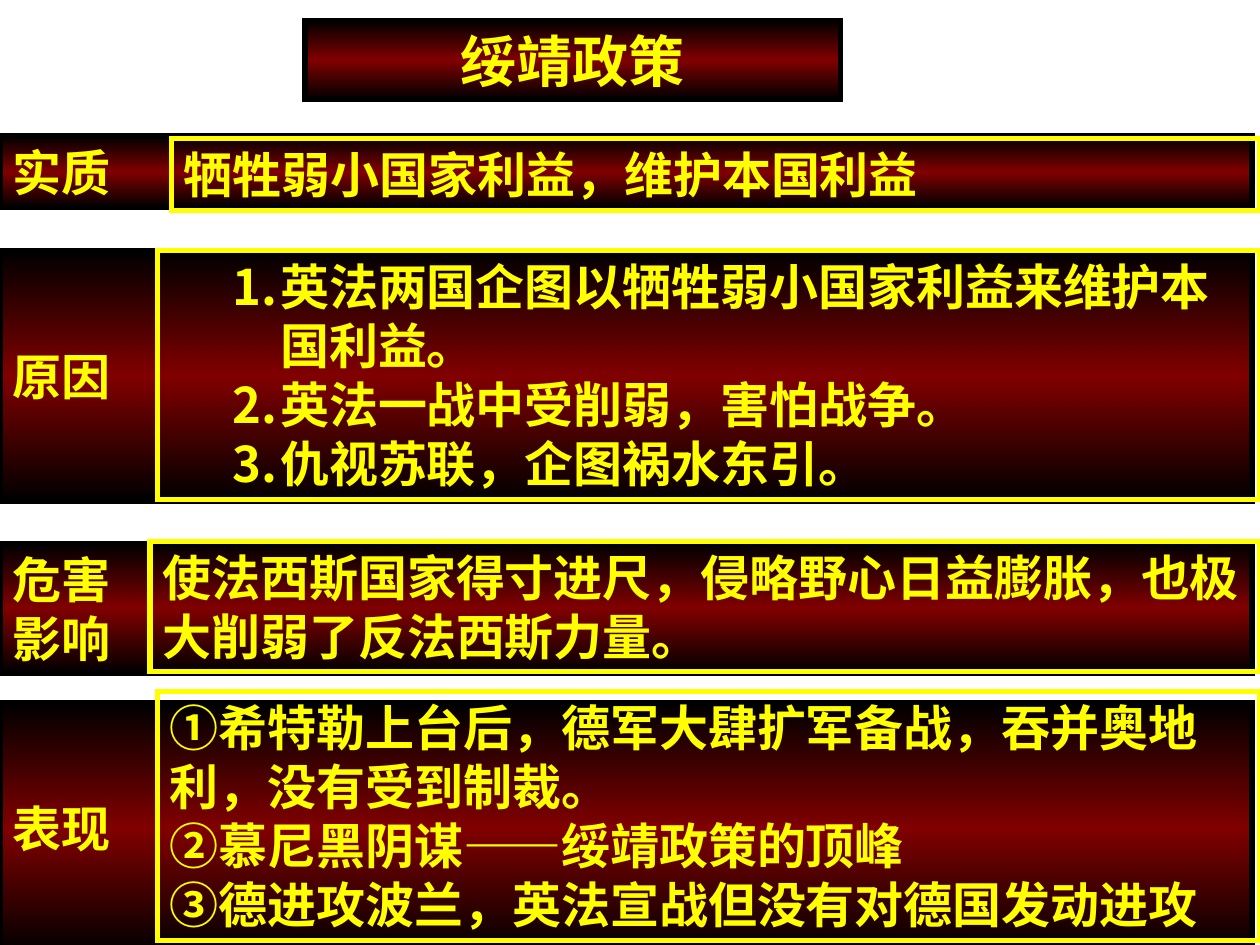
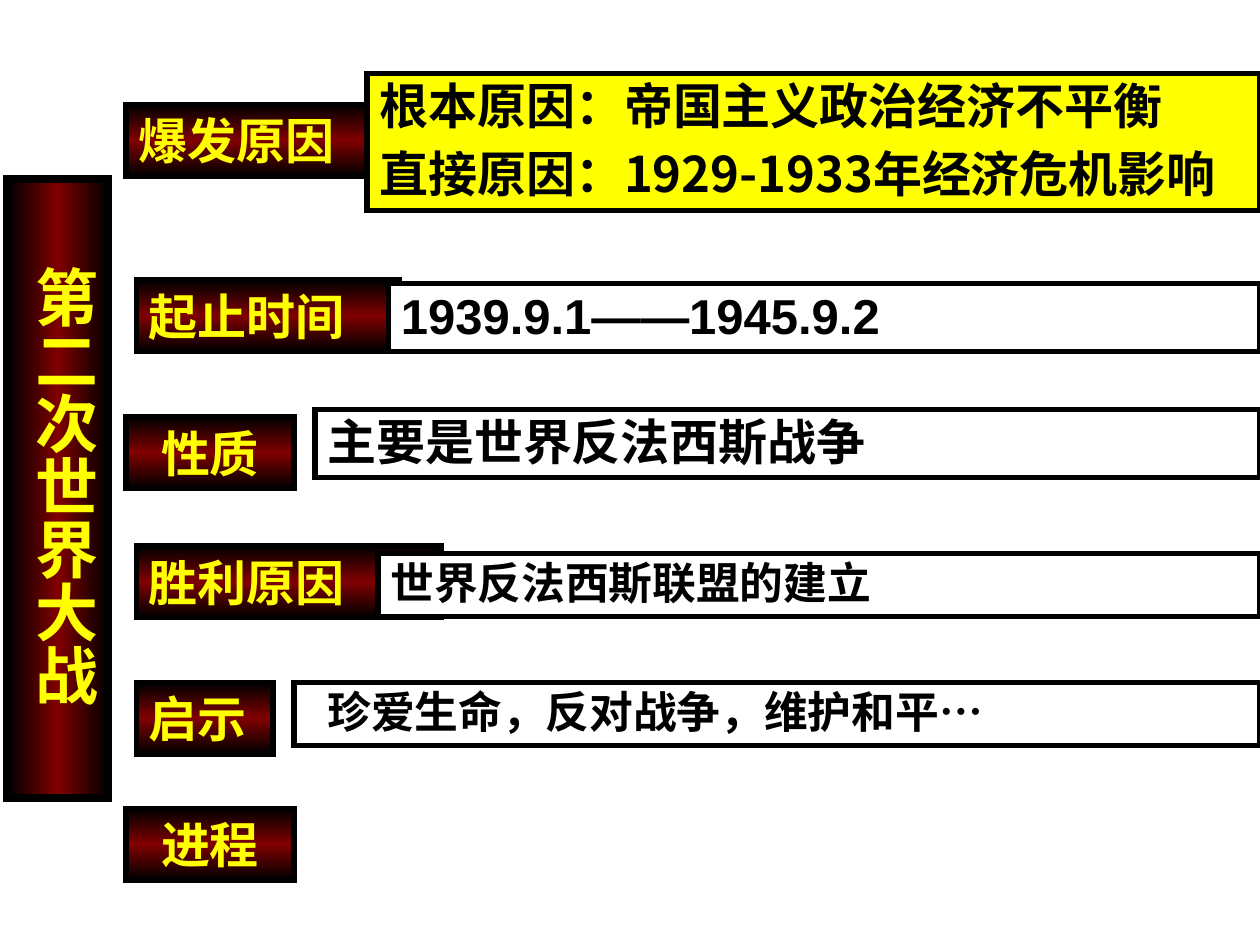
from copy import deepcopy

from lxml.etree import SubElement
from pptx import Presentation
from pptx.dml.color import RGBColor
from pptx.enum.shapes import MSO_SHAPE
from pptx.enum.text import MSO_ANCHOR, MSO_AUTO_SIZE, PP_ALIGN
from pptx.oxml.ns import qn
from pptx.util import Pt

BLACK = RGBColor(0x00, 0x00, 0x00)
MAROON = RGBColor(0x80, 0x00, 0x00)
YELLOW = RGBColor(0xFF, 0xFF, 0x00)
WHITE = RGBColor(0xFF, 0xFF, 0xFF)
LATIN_FONT = "Arial"
CHINESE_FONT = "Noto Sans CJK SC"
SLIDE_WIDTH, SLIDE_HEIGHT = 720, 540
TITLE_ONLY = 5
LABEL_HEIGHT = 41


# Shared formatting
def fill_glow(shape, angle=90):
    """Black edges with a maroon glow along the middle."""
    shape.fill.gradient()
    shape.fill.gradient_angle = angle
    stop_list = shape._element.spPr.find(qn("a:gradFill")).find(qn("a:gsLst"))
    stop_list.append(deepcopy(stop_list[0]))
    glow = ((0, BLACK), (0.5, MAROON), (1, BLACK))
    for stop, (position, color) in zip(shape.fill.gradient_stops, glow):
        stop.position = position
        stop.color.rgb = color


def outline(shape, color, width=3):
    shape.line.color.rgb = color
    shape.line.width = Pt(width)
    SubElement(shape.line._get_or_add_ln(), qn("a:miter"), lim="800000")


def place(shape, box):
    shape.left, shape.top, shape.width, shape.height = map(Pt, box)


def write(shape, lines, color, size=28, font=LATIN_FONT, align=PP_ALIGN.LEFT,
          anchor=MSO_ANCHOR.TOP, line_spacing=1.0, space_before=0):
    frame = shape.text_frame
    frame.word_wrap = True
    frame.auto_size = MSO_AUTO_SIZE.NONE
    frame.vertical_anchor = anchor
    frame.margin_left = frame.margin_right = Pt(7.2)
    frame.margin_top = frame.margin_bottom = Pt(3.6)
    for index, line in enumerate(lines):
        paragraph = frame.add_paragraph() if index else frame.paragraphs[0]
        paragraph.alignment = align
        paragraph.line_spacing = line_spacing
        paragraph.space_before = Pt(space_before)
        # Keep punctuation inside the box
        paragraph._p.get_or_add_pPr().set("hangingPunct", "0")
        run = paragraph.add_run()
        run.text = line
        run.font.size = Pt(size)
        run.font.bold = True
        run.font.name = font
        run.font.color.rgb = color
        SubElement(run._r.get_or_add_rPr(), qn("a:ea"), typeface=CHINESE_FONT)


def indent(paragraph, left, first=0):
    properties = paragraph._p.get_or_add_pPr()
    properties.set("marL", str(Pt(left)))
    properties.set("indent", str(Pt(first)))
    return properties


def number(paragraph):
    properties = indent(paragraph, 63, -27)
    bullet_color = SubElement(properties, qn("a:buClr"))
    SubElement(bullet_color, qn("a:srgbClr"), val=str(YELLOW))
    SubElement(properties, qn("a:buFont"), typeface=CHINESE_FONT)
    SubElement(properties, qn("a:buAutoNum"), type="arabicPeriod")


# Regions
def add_title(slide, box, text, size, line_width=3, angle=90):
    title = slide.shapes.title
    place(title, box)
    fill_glow(title, angle)
    outline(title, BLACK, line_width)
    write(title, [text], YELLOW, size, align=PP_ALIGN.CENTER)
    return title


def add_rectangle(slide, box):
    shape = slide.shapes.add_shape(MSO_SHAPE.RECTANGLE, *map(Pt, box))
    shape.shadow.inherit = False
    return shape


def add_label(slide, box, lines, align=PP_ALIGN.LEFT):
    label = add_rectangle(slide, box)
    fill_glow(label)
    outline(label, BLACK)
    write(label, lines, YELLOW, align=align, anchor=MSO_ANCHOR.MIDDLE)


def add_policy_row(slide, bar, frame, label, lines, font=LATIN_FONT, numbered=False):
    """bar is (top, height); frame is (left, top, height) and runs to the right edge."""
    bar_top, bar_height = bar
    add_label(slide, (0, bar_top, 715.5, bar_height), label)
    left, top, height = frame
    detail = add_rectangle(slide, (left, top, SLIDE_WIDTH - left, height))
    detail.fill.background()
    outline(detail, YELLOW)
    write(detail, lines, YELLOW, font=font)
    if numbered:
        for paragraph in detail.text_frame.paragraphs:
            number(paragraph)


def add_answer(slide, box, lines, size=28, fill=WHITE, font=LATIN_FONT, left_indent=0):
    left, top, height = box
    answer = add_rectangle(slide, (left, top, SLIDE_WIDTH - left, height))
    answer.fill.solid()
    answer.fill.fore_color.rgb = fill
    outline(answer, BLACK)
    write(answer, lines, BLACK, size, font, line_spacing=0.95, space_before=size / 4)
    indent(answer.text_frame.paragraphs[0], left_indent)


# Slides
def build_policy_slide(presentation):
    slide = presentation.slides.add_slide(presentation.slide_layouts[TITLE_ONLY])
    add_title(slide, (174.25, 11.5, 306, 45.5), "绥靖政策", 32)
    add_policy_row(slide, (77.75, LABEL_HEIGHT), (98, 79.25, LABEL_HEIGHT),
                   ["实质"], ["牺牲弱小国家利益，维护本国利益"], CHINESE_FONT)
    add_policy_row(slide, (143.25, 143.25), (90, 143.25, 142), ["原因"], [
        "英法两国企图以牺牲弱小国家利益来维护本国利益。",
        "英法一战中受削弱，害怕战争。",
        "仇视苏联，企图祸水东引。",
    ], CHINESE_FONT, numbered=True)
    add_policy_row(slide, (310.5, 74.25), (85.75, 309.5, 74.25), ["危害", "影响"],
                   ["使法西斯国家得寸进尺，侵略野心日益膨胀，也极大削弱了反法西斯力量。"])
    add_policy_row(slide, (401.75, 143.25), (90, 395.25, 142), ["表现"], [
        "①希特勒上台后，德军大肆扩军备战，吞并奥地利，没有受到制裁。",
        "②慕尼黑阴谋——绥靖政策的顶峰",
        "③德进攻波兰，英法宣战但没有对德国发动进攻",
    ])


def build_war_slide(presentation):
    slide = presentation.slides.add_slide(presentation.slide_layouts[TITLE_ONLY])

    # Vertical title band, its margins centring the seven characters
    title = add_title(slide, (4.25, 102.25, 57.75, 354), "第二次世界大战", 36, 4.5, 0)
    frame = title.text_frame
    frame.margin_left = frame.margin_right = Pt(3.6)
    frame.margin_top, frame.margin_bottom = Pt(50), Pt(48)
    frame._txBody.bodyPr.set("vert", "eaVert")

    # Topic labels
    labels = [
        ("爆发原因", 72, 59.75, 156, PP_ALIGN.LEFT),
        ("起止时间", 78, 160, 150, PP_ALIGN.LEFT),
        ("性质", 72, 238.25, 96, PP_ALIGN.CENTER),
        ("胜利原因", 78, 312, 174, PP_ALIGN.LEFT),
        ("启示", 78, 390, 78, PP_ALIGN.LEFT),
        ("进程", 72, 462, 96, PP_ALIGN.CENTER),
    ]
    for text, left, top, width, align in labels:
        add_label(slide, (left, top, width, LABEL_HEIGHT), [text], align)

    # Answers, each reaching the right edge
    add_answer(slide, (209.75, 42.25, 78.25),
               ["根本原因：帝国主义政治经济不平衡", "直接原因：1929-1933年经济危机影响"],
               fill=YELLOW, font=CHINESE_FONT)
    add_answer(slide, (222, 162, 39), ["1939.9.1——1945.9.2"])
    add_answer(slide, (180, 234, 39), ["主要是世界反法西斯战争"])
    add_answer(slide, (216, 316.25, 36), ["世界反法西斯联盟的建立"], 25)
    add_answer(slide, (168, 390, 36), ["珍爱生命，反对战争，维护和平…"], 25, left_indent=12)


def main():
    presentation = Presentation()
    presentation.slide_width = Pt(SLIDE_WIDTH)
    presentation.slide_height = Pt(SLIDE_HEIGHT)
    build_policy_slide(presentation)
    build_war_slide(presentation)
    presentation.save("out.pptx")


if __name__ == "__main__":
    main()
